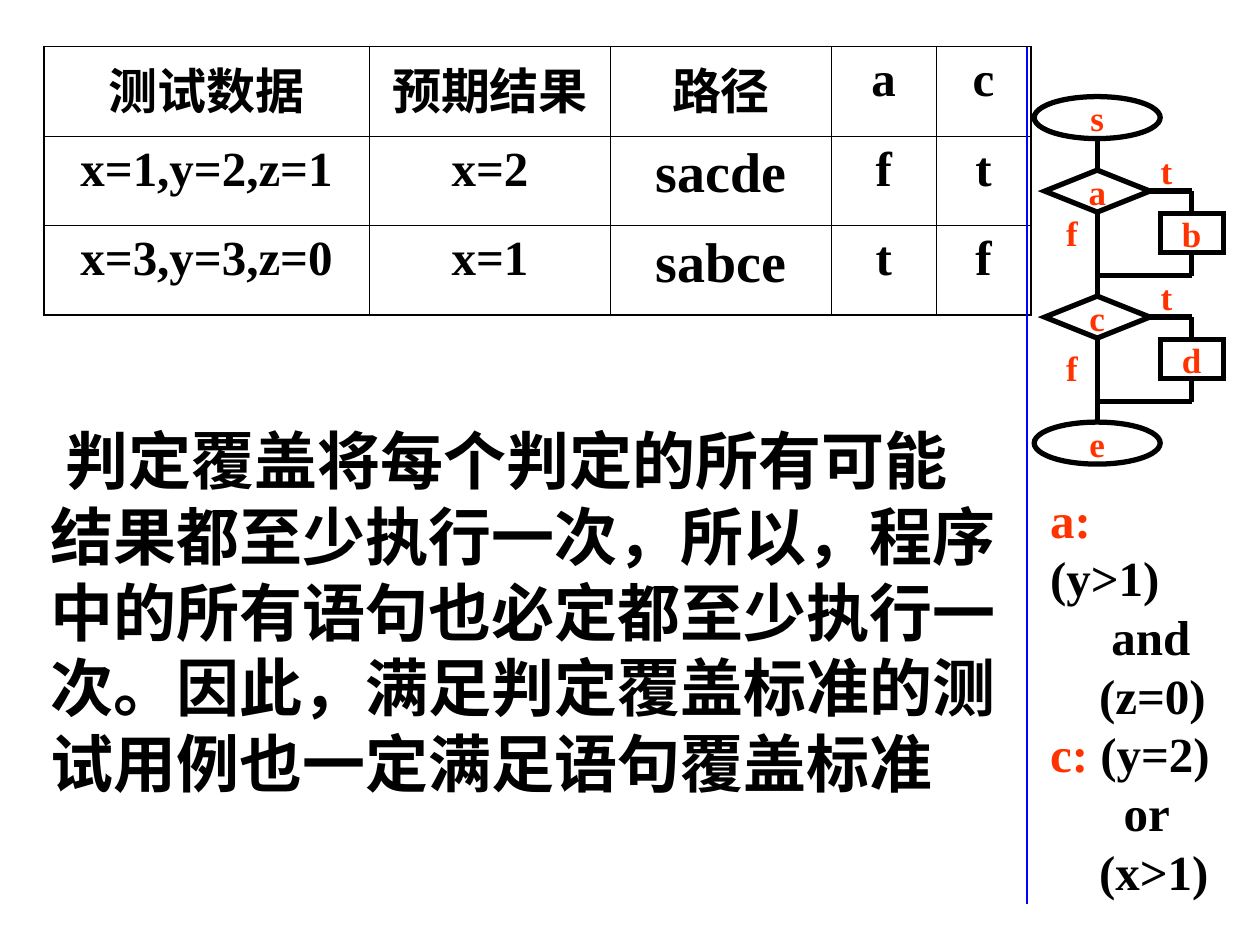
from lxml import etree
from pptx import Presentation
from pptx.dml.color import RGBColor
from pptx.enum import shapes as sh, text as tx
from pptx.oxml.ns import qn
from pptx.util import Pt

FACE, BLACK, RED, BLUE = "Times New Roman", "000000", "FF3300", "0000FF"

ROWS = [
    ("测试数据", "预期结果", "路径", "a", "c"),
    ("x=1,y=2,z=1", "x=2", "sacde", "f", "t"),
    ("x=3,y=3,z=0", "x=1", "sabce", "t", "f"),
]
COLS = [186, 138, 126, 60, 54]
ROW_H = 51.2
BODY = ("判定覆盖将每个判定的所有可能结果都至少执行一次，所以，程序中的所有语句"
        "也必定都至少执行一次。因此，满足判定覆盖标准的测试用例也一定满足语句覆盖标准")
# (indent, runs of text and colour)
RULES = [
    (0, [("a: ", RED), ("(y>1)", BLACK)]),
    (35, [("and", BLACK)]),
    (28, [("(z=0)", BLACK)]),
    (0, [("c: ", RED), ("(y=2)", BLACK)]),
    (42, [("or", BLACK)]),
    (28, [("(x>1)", BLACK)]),
]
# (test, action, centre y of the test, centre y of its "f")
TESTS = [("a", "b", 109.2, 133), ("c", "d", 181.2, 210)]
ENDS = [("s", 67.2), ("e", 253.2)]
AXIS, SIDE = 627, 681


def rgb(code):
    return RGBColor.from_string(code)


def style(font, size, color=None):
    font.name, font.size, font.bold = FACE, Pt(size), True
    if color:
        font.color.rgb = rgb(color)


def box(x, y, w, h, side=7.2, top=3.6):
    """Add a wrapping text box and return its text frame."""
    frame = slide.shapes.add_textbox(Pt(x), Pt(y), Pt(w), Pt(h)).text_frame
    frame.word_wrap = True
    frame.margin_left = frame.margin_right = Pt(side)
    frame.margin_top = frame.margin_bottom = Pt(top)
    return frame


def mark(frame, word):
    """Centre a red flowchart letter in a frame."""
    frame.word_wrap = False
    frame.margin_left = frame.margin_right = 0
    frame.margin_top = frame.margin_bottom = 0
    frame.vertical_anchor = tx.MSO_ANCHOR.MIDDLE
    para = frame.paragraphs[0]
    para.text, para.alignment = word, tx.PP_ALIGN.CENTER
    style(para.font, 20, RED)


def node(kind, x, y, w, h, word):
    """Add an outlined flowchart node centred on x, y."""
    shape = slide.shapes.add_shape(kind, Pt(x - w / 2), Pt(y - h / 2), Pt(w), Pt(h))
    shape.shadow.inherit = False
    shape.fill.background()
    shape.line.color.rgb, shape.line.width = rgb(BLACK), Pt(3)
    etree.SubElement(shape.line._get_or_add_ln(), qn("a:miter"), lim="800000")
    mark(shape.text_frame, word)


def line(x1, y1, x2, y2, color=BLACK, width=3):
    link = slide.shapes.add_connector(
        sh.MSO_CONNECTOR.STRAIGHT, Pt(x1), Pt(y1), Pt(x2), Pt(y2))
    link.line.color.rgb, link.line.width = rgb(color), Pt(width)
    etree.SubElement(link._element.spPr, qn("a:effectLst"))


def edge(cell, side, width):
    ln = etree.SubElement(cell._tc.get_or_add_tcPr(), qn("a:ln" + side),
                          w=str(Pt(width)))
    fill = etree.SubElement(ln, qn("a:solidFill"))
    etree.SubElement(fill, qn("a:srgbClr"), val=BLACK)


def grid():
    table = slide.shapes.add_table(
        len(ROWS), len(COLS), Pt(25), Pt(26.6), Pt(sum(COLS)),
        Pt(ROW_H * len(ROWS))).table
    table.first_row = table.horz_banding = False
    for col, width in zip(table.columns, COLS):
        col.width = Pt(width)
    for r, row in enumerate(ROWS):
        table.rows[r].height = Pt(ROW_H)
        for c, word in enumerate(row):
            cell = table.cell(r, c)
            outer = {"L": c == 0, "R": c == len(COLS) - 1,
                     "T": r == 0, "B": r == len(ROWS) - 1}
            for side, thick in outer.items():
                edge(cell, side, 1.08 if thick else 0.45)
            cell.fill.background()
            para = cell.text_frame.paragraphs[0]
            para.text, para.alignment = word, tx.PP_ALIGN.CENTER
            style(para.font, 32 if r and c == 2 else 28, BLACK)


def body():
    para = box(21.6, 237.6, 556.6, 302.4).paragraphs[0]
    para.text, para.line_spacing = BODY, Pt(43.2)
    para._p.get_or_add_pPr().set("indent", str(Pt(9)))
    style(para.font, 36, BLACK)


def flow():
    for word, y in ENDS:
        node(sh.MSO_SHAPE.OVAL, AXIS, y, 72, 24, word)
    line(AXIS, ENDS[0][1] + 12, AXIS, TESTS[0][2] - 12)
    nexts = [test[2] for test in TESTS[1:]] + [ENDS[1][1]]
    for (test, act, y, low), after in zip(TESTS, nexts):
        node(sh.MSO_SHAPE.DIAMOND, AXIS, y, 60, 24, test)
        node(sh.MSO_SHAPE.RECTANGLE, SIDE, y + 24, 36, 22.5, act)
        join = y + 48.4
        line(AXIS + 30, y, SIDE, y)
        line(SIDE, y, SIDE, y + 12.5)
        line(SIDE, y + 35.5, SIDE, join)
        line(SIDE, join, AXIS, join)
        line(AXIS, y + 12, AXIS, after - 12)
        for word, x, mid in [("t", 666.5, y - 12), ("f", 612.5, low)]:
            mark(box(x - 10.8, mid - 16.2, 21.6, 32.4), word)


def rules():
    frame = box(593, 242, 105.5, 310)
    frame.vertical_anchor = tx.MSO_ANCHOR.MIDDLE
    for i, (indent, runs) in enumerate(RULES):
        para = frame.add_paragraph() if i else frame.paragraphs[0]
        para.line_spacing = Pt(33.5)
        para._p.get_or_add_pPr().set("marL", str(Pt(indent)))
        style(para.font, 28)
        for word, color in runs:
            run = para.add_run()
            run.text, run.font.color.rgb = word, rgb(color)


deck = Presentation()
deck.slide_width, deck.slide_height = Pt(720), Pt(540)
slide = deck.slides.add_slide(deck.slide_layouts[6])
body()
flow()
rules()
grid()
line(587, 26.6, 587, 516.5, BLUE, 1)
deck.save("out.pptx")
